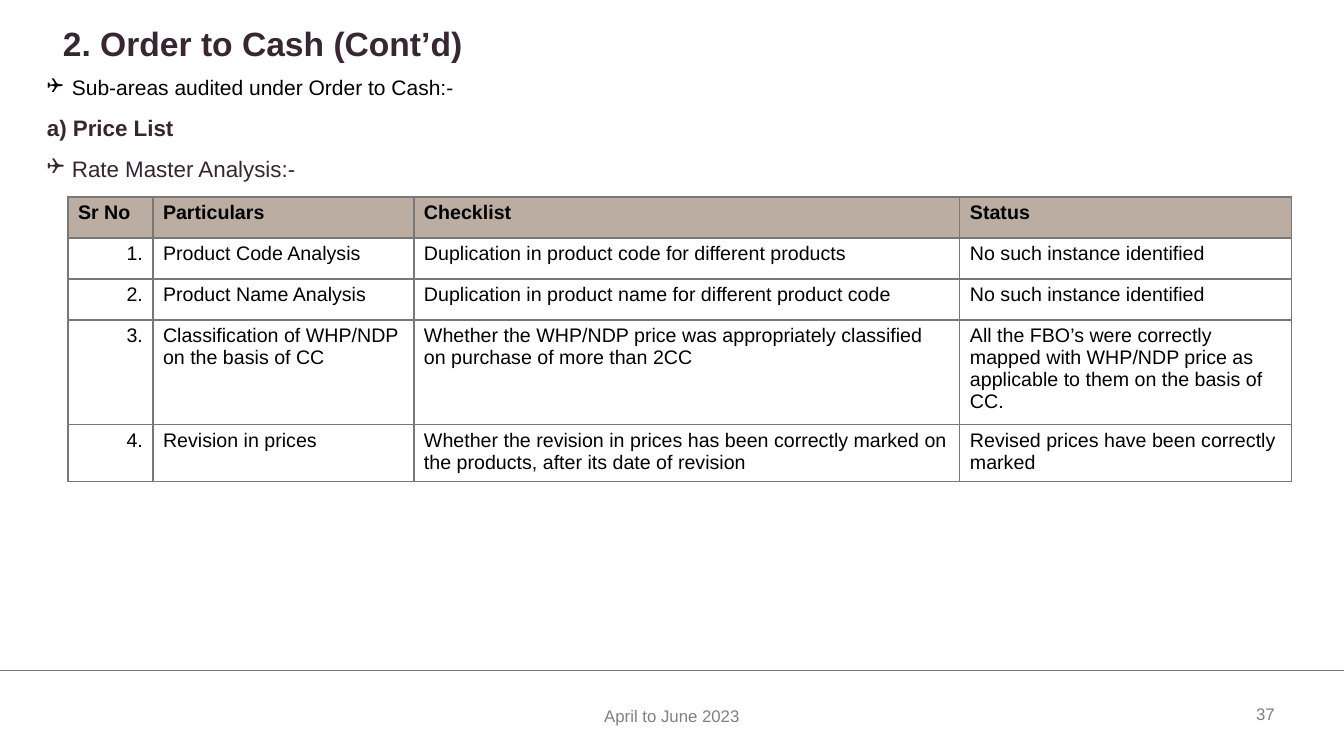
from lxml import etree
from pptx import Presentation
from pptx import util as u
from pptx.dml.color import RGBColor
from pptx.enum import shapes, text
from pptx.oxml.ns import qn

PX = 914400 / 100.8
COLORS = {
    "title": "362731", "heading": "36272F", "black": "000000", "footer": "808080",
    "line": "777877", "header": "BBADA2", "white": "FFFFFF",
}
ALIGN = text.PP_ALIGN


def px(value):
    return u.Emu(round(value * PX))


def rgb(name):
    return RGBColor.from_string(COLORS[name])


class SlideBuilder:
    def __init__(self, slide, font="Arial"):
        self.slide = slide
        self.font = font

    def style(self, paragraph, size, color, bold=False, align=ALIGN.LEFT):
        paragraph.alignment = align
        font = paragraph.font
        font.name, font.size, font.bold = self.font, u.Pt(size), bold
        font.color.rgb = rgb(color)

    def text_box(self, left, top, width, height, anchor=text.MSO_ANCHOR.TOP):
        """Add an empty wrapping box and return its text frame."""
        frame = self.slide.shapes.add_textbox(*map(px, (left, top, width, height))).text_frame
        frame.word_wrap = True
        frame.vertical_anchor = anchor
        return frame

    def label(self, content, box, size, color, **options):
        """Add a one-paragraph text box and return the paragraph."""
        paragraph = self.text_box(*box, anchor=options.pop("anchor", text.MSO_ANCHOR.TOP)).paragraphs[0]
        paragraph.text = content
        self.style(paragraph, size, color, **options)
        return paragraph

    def bullet(self, paragraph, symbol="❑", indent=25):
        properties = paragraph._p.get_or_add_pPr()
        properties.set("marL", str(px(indent)))
        properties.set("indent", str(-px(indent)))
        etree.SubElement(properties, qn("a:buFont"), typeface="Wingdings")
        etree.SubElement(properties, qn("a:buChar"), char=symbol)

    def outline(self, box, items):
        """Add a list of (content, size, color, bold, bulleted) paragraphs."""
        frame = self.text_box(*box)
        for index, (content, size, color, bold, bulleted) in enumerate(items):
            paragraph = frame.add_paragraph() if index else frame.paragraphs[0]
            paragraph.text = content
            if index:
                paragraph.space_before = u.Pt(10)
            if bulleted:
                self.bullet(paragraph)
            self.style(paragraph, size, color, bold)

    def rule(self, left, right, y):
        line = self.slide.shapes.add_connector(
            shapes.MSO_CONNECTOR.STRAIGHT, px(left), px(y), px(right), px(y))
        line.line.color.rgb = rgb("line")
        line.line.width = u.Pt(0.5)
        etree.SubElement(line._element.spPr, qn("a:effectLst"))

    def borders(self, cell):
        properties = cell._tc.get_or_add_tcPr()
        for side in "LRTB":
            border = etree.SubElement(properties, qn(f"a:ln{side}"), w=str(u.Pt(1)))
            fill = etree.SubElement(border, qn("a:solidFill"))
            etree.SubElement(fill, qn("a:srgbClr"), val=COLORS["line"])

    def table(self, left, top, widths, heights, rows):
        table = self.slide.shapes.add_table(
            len(rows), len(widths), px(left), px(top), px(sum(widths)), px(sum(heights))).table
        for column, width in zip(table.columns, widths):
            column.width = px(width)
        for row_index, (values, height) in enumerate(zip(rows, heights)):
            table.rows[row_index].height = px(height)
            is_header = row_index == 0
            for column_index, value in enumerate(values):
                cell = table.cell(row_index, column_index)
                cell.text = value
                numbered = column_index == 0 and not is_header
                self.style(cell.text_frame.paragraphs[0], 14, "black", is_header,
                           ALIGN.RIGHT if numbered else ALIGN.LEFT)
                self.borders(cell)
                cell.fill.solid()
                cell.fill.fore_color.rgb = rgb("header" if is_header else "white")


CHECKS = [
    ("Product Code Analysis", "Duplication in product code for different products",
     "No such instance identified"),
    ("Product Name Analysis", "Duplication in product name for different product code",
     "No such instance identified"),
    ("Classification of WHP/NDP on the basis of CC",
     "Whether the WHP/NDP price was appropriately classified on purchase of more than 2CC",
     "All the FBO’s were correctly mapped with WHP/NDP price as applicable to them "
     "on the basis of CC."),
    ("Revision in prices",
     "Whether the revision in prices has been correctly marked on the products, "
     "after its date of revision",
     "Revised prices have been correctly marked"),
]


def main():
    presentation = Presentation()
    presentation.slide_width, presentation.slide_height = px(1344), px(756)
    builder = SlideBuilder(presentation.slides.add_slide(presentation.slide_layouts[6]))

    builder.rule(0, 1344, 670)
    builder.outline((37, 70, 1254, 565), [
        ("Sub-areas audited under Order to Cash:-", 15, "black", False, True),
        ("a) Price List", 16, "heading", True, False),
        ("Rate Master Analysis:-", 16, "heading", False, True),
    ])
    header = ("Sr No", "Particulars", "Checklist", "Status")
    numbered_checks = [(f"{number}.", *check) for number, check in enumerate(CHECKS, 1)]
    builder.table(68, 197, (85, 261, 546, 332), (41, 41, 41, 98, 54), [header, *numbered_checks])
    title = builder.label("2. Order to Cash (Cont’d)", (53, 23, 736, 52), 24, "title", bold=True)
    title.line_spacing = 0.9
    builder.label("April to June 2023", (445, 701, 454, 40), 12, "footer", align=ALIGN.CENTER)
    builder.label("37", (1202, 694, 127, 40), 12, "footer", align=ALIGN.CENTER,
                  anchor=text.MSO_ANCHOR.MIDDLE)
    presentation.save("out.pptx")


if __name__ == "__main__":
    main()
